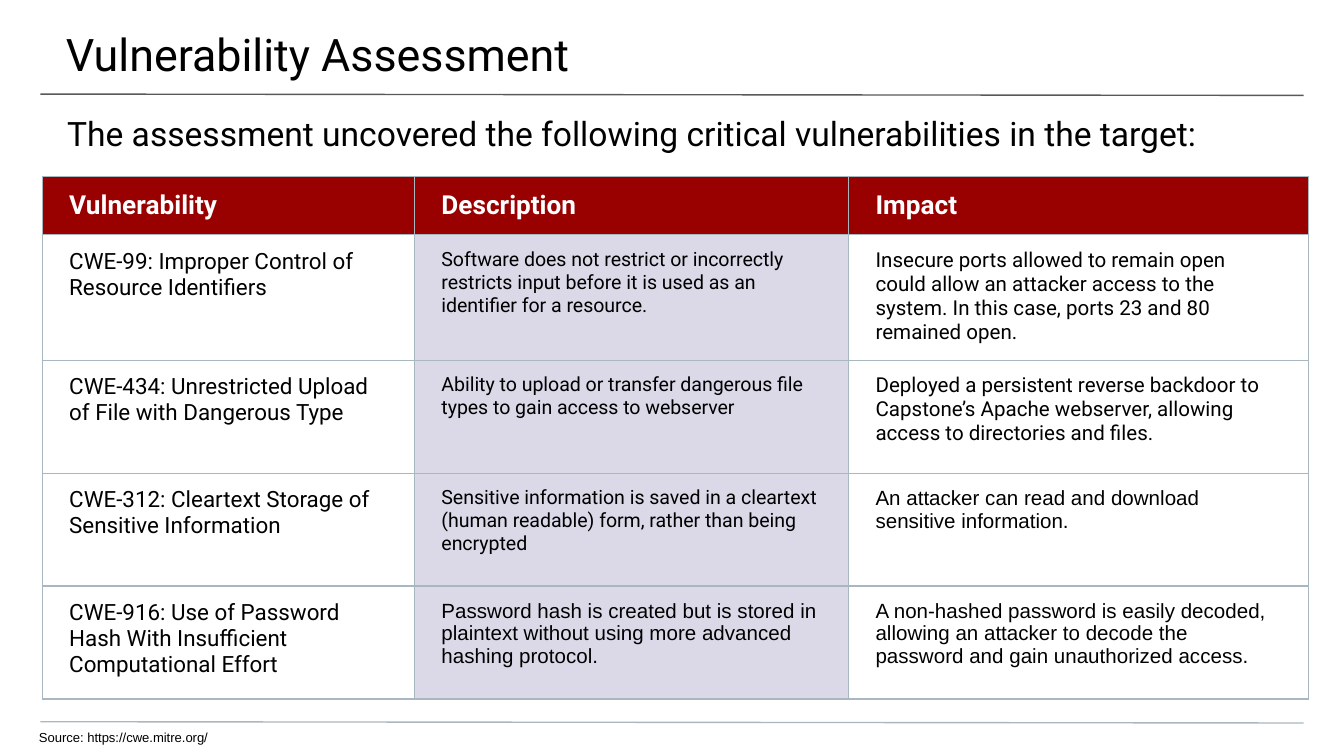
from lxml.etree import SubElement
from pptx import Presentation
from pptx.dml.color import RGBColor
from pptx.enum.shapes import MSO_CONNECTOR
from pptx.enum.text import MSO_ANCHOR
from pptx.oxml import parse_xml
from pptx.oxml.ns import nsdecls, qn
from pptx.util import Inches, Pt

BLACK = RGBColor(0x00, 0x00, 0x00)
WHITE = RGBColor(0xFF, 0xFF, 0xFF)
RED = RGBColor(0x99, 0x00, 0x00)
LILAC = RGBColor(0xDB, 0xD9, 0xE8)
GRAY = RGBColor(0x59, 0x59, 0x59)
STEEL = RGBColor(0xA9, 0xB7, 0xC0)

WIDTH = Inches(10)
HEIGHT = WIDTH * 9 // 16
COLUMNS = [27.7, 32.3, 34.2]
HEADER_ROW, BODY_ROW = 7.64, 14.93
CELL_INSETS = (2, 1, 2, 1)

HEADERS = ["Vulnerability", "Description", "Impact"]
VULNERABILITIES = [
    [("CWE-99: Improper Control of Resource Identifiers", 12, "Roboto"),
     ("Software does not restrict or incorrectly restricts input before it is "
      "used as an identifier for a resource.", 10.5, "Roboto"),
     ("Insecure ports allowed to remain open could allow an attacker access to "
      "the system. In this case, ports 23 and 80 remained open.", 11, "Roboto")],
    [("CWE-434: Unrestricted Upload of File with Dangerous Type", 12, "Roboto"),
     ("Ability to upload or transfer dangerous file types to gain access to "
      "webserver", 10.5, "Roboto"),
     ("Deployed a persistent reverse backdoor to Capstone’s Apache webserver, "
      "allowing access to directories and files.", 11, "Roboto")],
    [("CWE-312: Cleartext Storage of Sensitive Information", 12, "Roboto"),
     ("Sensitive information is saved in a cleartext (human readable) form, "
      "rather than being encrypted", 10.5, "Roboto"),
     ("An attacker can read and download sensitive information.", 11, "Arial")],
    [("CWE-916: Use of Password Hash With Insufficient Computational Effort",
      12, "Roboto"),
     ("Password hash is created but is stored in plaintext without using more "
      "advanced hashing protocol.", 11, "Arial"),
     ("A non-hashed password is easily decoded, allowing an attacker to decode "
      "the password and gain unauthorized access.", 11, "Arial")],
]


def across(percent):
    return round(WIDTH * percent / 100)


def down(percent):
    return round(HEIGHT * percent / 100)


def set_insets(holder, insets):
    (holder.margin_left, holder.margin_top,
     holder.margin_right, holder.margin_bottom) = map(across, insets)


def add_run(p, text, size, font, color=BLACK, bold=False):
    r = p.add_run()
    r.text = text
    r.font.size = Pt(size)
    r.font.name = font
    r.font.bold = bold
    r.font.color.rgb = color


def add_text(s, left, top, width, height, insets, text, size, font):
    sp = s.shapes.add_textbox(across(left), down(top), across(width), down(height))
    tf = sp.text_frame
    tf.word_wrap = True
    set_insets(tf, insets)
    add_run(tf.paragraphs[0], text, size, font)


def add_rule(s, top, bottom, color):
    line = s.shapes.add_connector(
        MSO_CONNECTOR.STRAIGHT, across(3), down(top), across(97), down(bottom))
    line.line.color.rgb = color
    line.line.width = Pt(0.75)
    SubElement(line._element.spPr, qn("a:effectLst"))


def add_borders(cell):
    tcPr = cell._tc.get_or_add_tcPr()
    for i, side in enumerate(("lnL", "lnR", "lnT", "lnB")):
        tcPr.insert(i, parse_xml(
            f'<a:{side} {nsdecls("a")} w="{Pt(0.75)}"><a:solidFill>'
            f'<a:srgbClr val="{STEEL}"/></a:solidFill></a:{side}>'))


def fill_cell(cell, fill, anchor, *run):
    set_insets(cell, CELL_INSETS)
    cell.vertical_anchor = anchor
    if fill is None:
        cell.fill.background()
    else:
        cell.fill.solid()
        cell.fill.fore_color.rgb = fill
    add_borders(cell)
    add_run(cell.text_frame.paragraphs[0], *run)


def add_vulnerability_table(s):
    heights = [HEADER_ROW] + [BODY_ROW] * len(VULNERABILITIES)
    table = s.shapes.add_table(
        len(heights), len(COLUMNS), across(3.15), down(23.35),
        across(sum(COLUMNS)), down(sum(heights))).table
    table.horz_banding = False
    for column, width in zip(table.columns, COLUMNS):
        column.width = across(width)
    for row, height in zip(table.rows, heights):
        row.height = down(height)
    for c, header in enumerate(HEADERS):
        fill_cell(table.cell(0, c), RED, MSO_ANCHOR.MIDDLE,
                  header, 14, "Roboto", WHITE, True)
    for r, entries in enumerate(VULNERABILITIES, 1):
        for c, entry in enumerate(entries):
            fill_cell(table.cell(r, c), LILAC if c == 1 else None,
                      MSO_ANCHOR.TOP, *entry)


def main():
    prs = Presentation()
    prs.slide_width, prs.slide_height = WIDTH, HEIGHT
    s = prs.slides.add_slide(prs.slide_layouts[6])
    add_rule(s, 12.45, 12.62, GRAY)
    add_rule(s, 95.47, 95.64, STEEL)
    add_text(s, -0.1, 0, 100.3, 10.31, (5, 2, 3, 1),
             "Vulnerability Assessment", 24, "Roboto")
    add_text(s, 0, 13.16, 100, 7.11, (5, 1, 5, 0),
             "The assessment uncovered the following critical vulnerabilities "
             "in the target:", 18, "Roboto")
    add_text(s, -0.1, 95.64, 87.2, 4.44, (3, 0.5, 0, 0),
             "Source: https://cwe.mitre.org/", 7, "Arial")
    add_vulnerability_table(s)
    prs.save("out.pptx")


if __name__ == "__main__":
    main()
